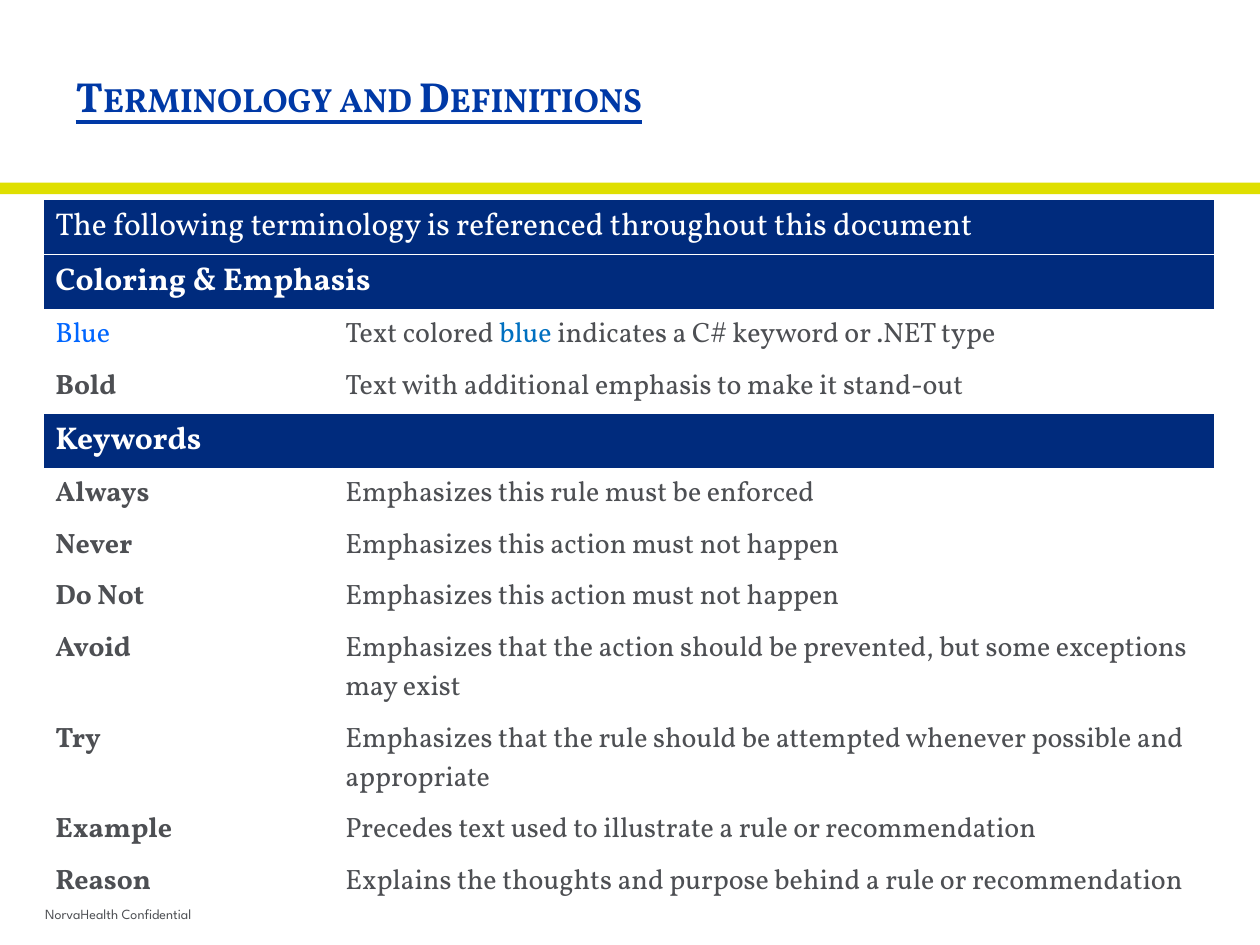
"""Build the terminology and definitions slide."""
from pptx import Presentation
from pptx.dml.color import RGBColor
from pptx.enum.shapes import MSO_SHAPE
from pptx.enum.text import MSO_ANCHOR, PP_ALIGN
from pptx.oxml.ns import qn
from pptx.util import Inches, Pt
from lxml.etree import SubElement

NAVY, BLUE, YELLOW, GREY, WHITE = "002B7D", "0039A6", "DFDF00", "4D4F53", "FFFFFF"
SERIF, SANS = "Vollkorn", "League Spartan"
TITLE = "Terminology and Definitions"
FOOTER = "NorvaHealth Confidential"
INTRO = "The following terminology is referenced throughout this document"
SECTIONS = [
    ("Coloring & Emphasis", [
        ("Blue", [("Text colored ", GREY), ("blue", "0070C0"),
                  (" indicates a C# keyword or .NET type", GREY)]),
        ("Bold", "Text with additional emphasis to make it stand-out"),
    ]),
    ("Keywords", [
        ("Always", "Emphasizes this rule must be enforced"),
        ("Never", "Emphasizes this action must not happen"),
        ("Do Not", "Emphasizes this action must not happen"),
        ("Avoid", "Emphasizes that the action should be prevented, but some exceptions may exist"),
        ("Try", "Emphasizes that the rule should be attempted whenever possible and appropriate"),
        ("Example", "Precedes text used to illustrate a rule or recommendation"),
        ("Reason", "Explains the thoughts and purpose behind a rule or recommendation"),
    ]),
]
TERM_STYLES = {"Blue": {"color": "0066FF", "bold": False}}
COLUMN_WIDTHS = (2.3, 7)
BAND_HEIGHT, LINE_HEIGHT, WRAPPED_HEIGHT = 0.44, 0.41, 0.72
LINE_LENGTH = 70
CELL_MARGINS = {"margin_left": 0.1, "margin_right": 0.1,
                "margin_top": 0.05, "margin_bottom": 0.05}


def rgb(value):
    return RGBColor.from_string(value)


def set_lengths(part, lengths):
    for key, length in lengths.items():
        setattr(part, key, Inches(length))


def place(part, left, top, width, height):
    set_lengths(part, {"left": left, "top": top, "width": width, "height": height})


def write(frame, text, size, color, name=SERIF, **formats):
    pieces = [(text, color)] if isinstance(text, str) else text
    paragraph = frame.paragraphs[0]
    paragraph.alignment = PP_ALIGN.LEFT
    for words, tint in pieces:
        run = paragraph.add_run()
        run.text = words
        run.font.color.rgb = rgb(tint)
        for key, value in {"size": Pt(size), "name": name, **formats}.items():
            setattr(run.font, key, value)
    return run


def add_borders(cell):
    for side in "LRTB":
        line = SubElement(cell._tc.get_or_add_tcPr(), qn(f"a:ln{side}"), w=str(Pt(1)))
        fill = SubElement(line, qn("a:solidFill"))
        SubElement(fill, qn("a:srgbClr"), val=WHITE)


def row_height(meaning):
    if meaning is None:
        return BAND_HEIGHT
    return WRAPPED_HEIGHT if len(meaning) > LINE_LENGTH else LINE_HEIGHT


def add_band(table, row, text, bold):
    heading = table.cell(row, 0)
    heading.merge(table.cell(row, 1))
    write(heading.text_frame, text, 18, WHITE, bold=bold)
    for cell in table.rows[row].cells:
        cell.fill.solid()
        cell.fill.fore_color.rgb = rgb(NAVY)


def add_definition(table, row, term, meaning):
    style = {"color": GREY, "bold": True, **TERM_STYLES.get(term, {})}
    write(table.cell(row, 0).text_frame, term, 16, **style)
    write(table.cell(row, 1).text_frame, meaning, 16, GREY, bold=False)
    for cell in table.rows[row].cells:
        cell.fill.background()


def add_terminology(slide):
    entries = [(INTRO, None)]
    for heading, definitions in SECTIONS:
        entries += [(heading, None), *definitions]
    heights = [row_height(meaning) for _, meaning in entries]
    table = slide.shapes.add_table(
        len(entries), 2, Inches(0.34), Inches(1.58),
        Inches(sum(COLUMN_WIDTHS)), Inches(sum(heights))).table
    table.first_row = table.horz_banding = False
    for column, width in zip(table.columns, COLUMN_WIDTHS):
        column.width = Inches(width)
    for row, (term, meaning) in enumerate(entries):
        table.rows[row].height = Inches(heights[row])
        for cell in table.rows[row].cells:
            set_lengths(cell, CELL_MARGINS)
            add_borders(cell)
        if meaning is None:
            add_band(table, row, term, bold=row > 0)
        else:
            add_definition(table, row, term, meaning)


def main():
    deck = Presentation()
    deck.slide_width, deck.slide_height = Inches(10), Inches(7.5)
    slide = deck.slides.add_slide(deck.slide_layouts[5])

    footer = slide.shapes.add_textbox(0, 0, 0, 0)
    place(footer, 0.26, 7.08, 9.52, 0.35)
    footer.text_frame.word_wrap = True
    footer.text_frame.vertical_anchor = MSO_ANCHOR.MIDDLE
    write(footer.text_frame, FOOTER, 8, GREY, SANS)

    rule = slide.shapes.add_shape(MSO_SHAPE.RECTANGLE, 0, 0, 0, 0)
    place(rule, 0, 1.45, 10, 0.09)
    rule.shadow.inherit = False
    rule.fill.solid()
    rule.fill.fore_color.rgb = rgb(YELLOW)
    rule.line.fill.background()

    title = slide.shapes.title
    place(title, 0.5, 0.51, 8.99, 0.47)
    title.text_frame.vertical_anchor = MSO_ANCHOR.TOP
    heading = write(title.text_frame, TITLE, 24, BLUE, bold=True, underline=True)
    heading._r.get_or_add_rPr().set("cap", "small")

    add_terminology(slide)
    deck.save("out.pptx")


if __name__ == "__main__":
    main()
